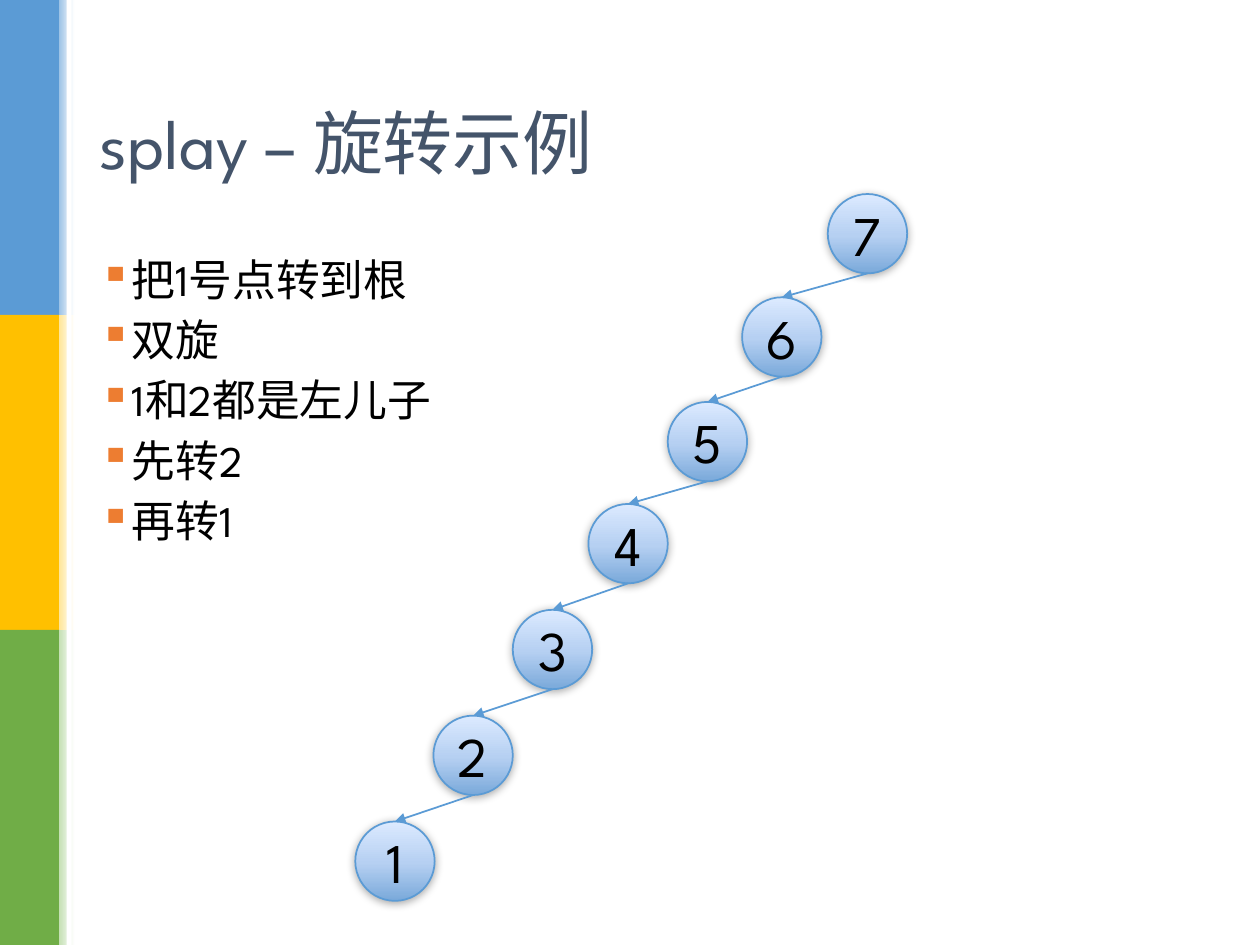
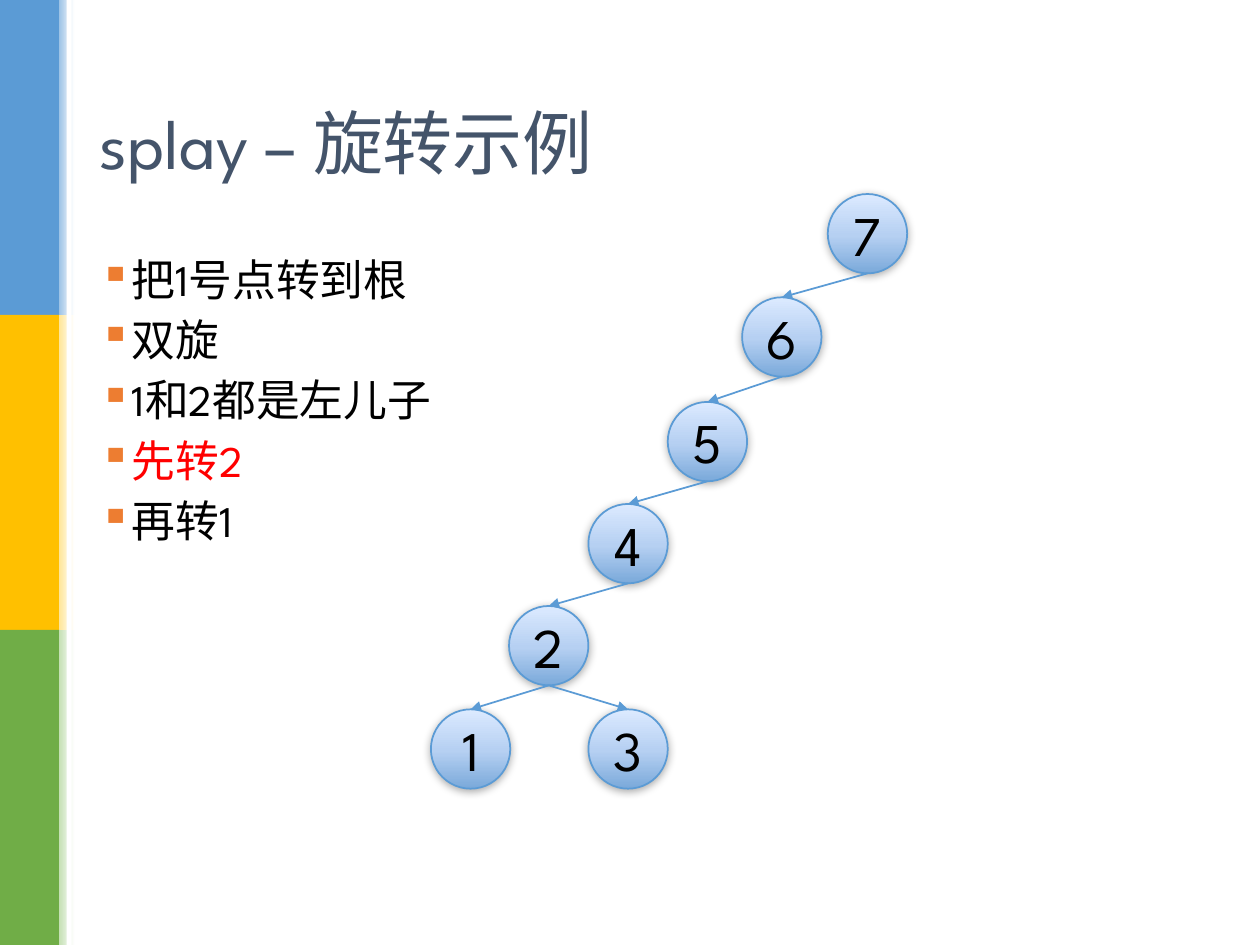
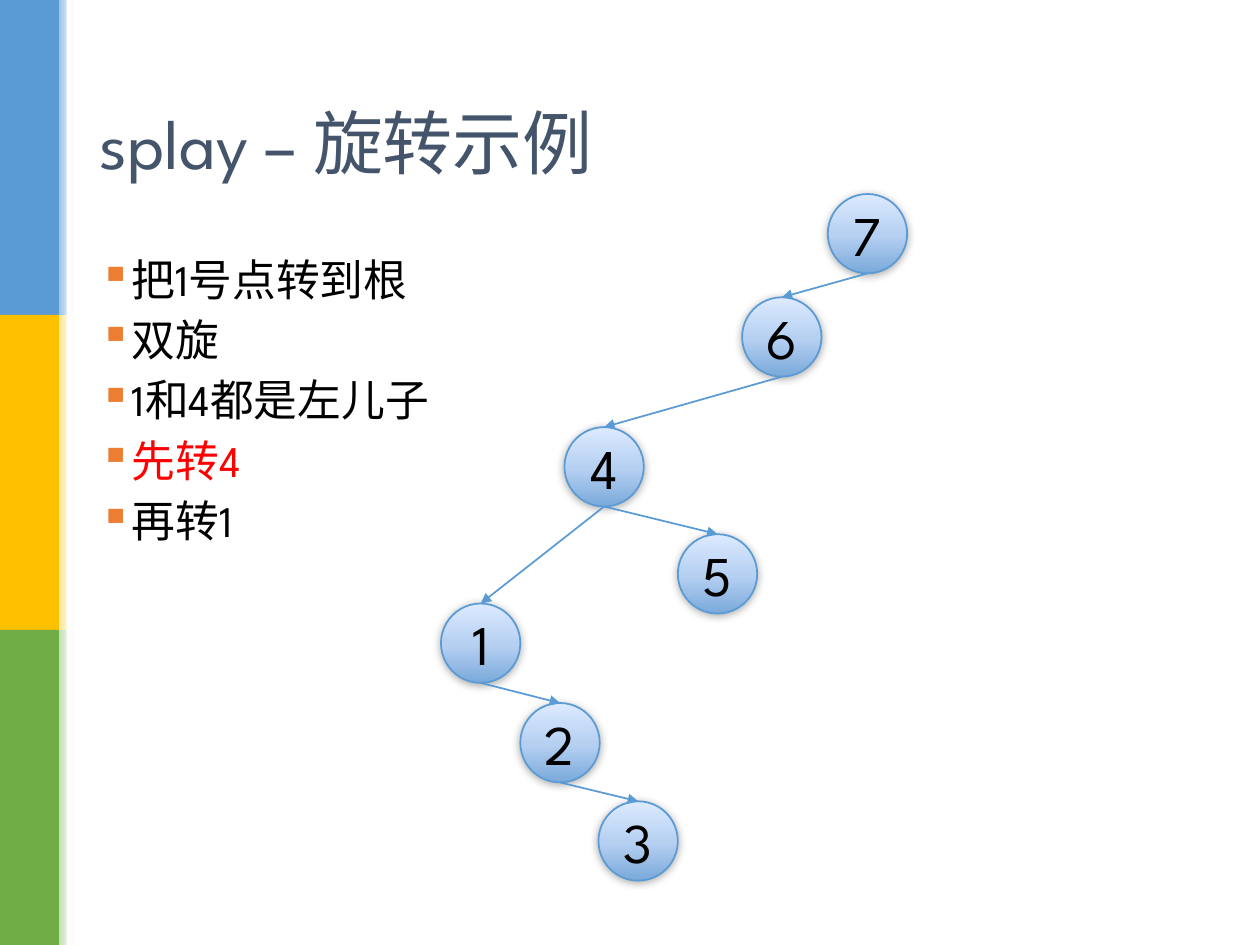
"""Build three slides that show splay tree rotations."""
from lxml.etree import SubElement
from pptx import Presentation
from pptx.dml.color import RGBColor
from pptx.enum.shapes import MSO_CONNECTOR, MSO_SHAPE
from pptx.enum.text import MSO_ANCHOR, PP_ALIGN
from pptx.oxml.ns import qn
from pptx.util import Inches, Pt

FONT = "League Spartan"
BLUE, BLACK, RED, WHITE = "5B9BD5", "000000", "FF0000", "FFFFFF"
SLATE, ORANGE = "44546A", "ED7D31"
BANDS = [(BLUE, "9DC3E6"), ("FFC000", "FFE699"), ("70AD47", "C5E0B4")]
BALL = [(0, "7AA9DA"), (48, "B6D0F2"), (100, "DCEAFF")]
SIZE = 0.63

CHAIN = {
    "1": (2.82, 6.52), "2": (3.44, 5.68), "3": (4.07, 4.84), "4": (4.67, 4),
    "5": (5.3, 3.19), "6": (5.89, 2.36), "7": (6.57, 1.54),
}
STEPS = [
    {"top": "2", "hue": BLACK, "spots": CHAIN,
     "edges": ["21", "32", "43", "54", "65", "76"]},
    {"top": "2", "hue": RED,
     "spots": CHAIN | {"1": (3.42, 5.63), "2": (4.04, 4.81), "3": (4.67, 5.63)},
     "edges": ["21", "23", "42", "54", "65", "76"]},
    {"top": "4", "hue": RED,
     "spots": CHAIN | {"1": (3.5, 4.79), "2": (4.13, 5.58), "3": (4.75, 6.36),
                       "4": (4.48, 3.39), "5": (5.38, 4.24)},
     "edges": ["12", "23", "41", "45", "64", "76"]},
]


def paint(item, fill, angle=0):
    """Fill a shape with one colour or with a list of gradient stops."""
    item.shadow.inherit = False
    item.line.fill.background()
    if isinstance(fill, str):
        item.fill.solid()
        item.fill.fore_color.rgb = RGBColor.from_string(fill)
        return
    item.fill.gradient()
    item.fill.gradient_angle = angle
    stops = item._element.spPr.find(".//" + qn("a:gsLst"))
    stops.clear()
    for pos, hue in fill:
        stop = SubElement(stops, qn("a:gs"), pos=str(pos * 1000))
        SubElement(stop, qn("a:srgbClr"), val=hue)


def write(para, text, size, hue):
    """Add one run of text to a paragraph."""
    run = para.add_run()
    run.text = text
    run.font.name = FONT
    run.font.size = Pt(size)
    run.font.color.rgb = RGBColor.from_string(hue)


deck = Presentation()
deck.slide_width, deck.slide_height = Inches(10), Inches(7.5)

for step in STEPS:
    slide = deck.slides.add_slide(deck.slide_layouts[6])
    shapes = slide.shapes

    for row, (dark, light) in enumerate(BANDS):
        top = Inches(2.5 * row)
        band = shapes.add_shape(MSO_SHAPE.RECTANGLE, 0, top, Inches(0.47), Inches(2.5))
        paint(band, dark)
        fade = shapes.add_shape(MSO_SHAPE.RECTANGLE, Inches(0.47), top, Inches(0.12), Inches(2.5))
        paint(fade, [(0, light), (100, WHITE)])
    strip = shapes.add_shape(MSO_SHAPE.RECTANGLE, Inches(0.53), 0, Inches(0.04), Inches(7.5))
    paint(strip, WHITE)

    title = shapes.add_textbox(Inches(0.69), Inches(0.4), Inches(8.62), Inches(1.45)).text_frame
    title.word_wrap = True
    title.vertical_anchor = MSO_ANCHOR.MIDDLE
    write(title.paragraphs[0], "splay – 旋转示例", 40, SLATE)

    nodes = {}
    for key, (left, top) in step["spots"].items():
        node = shapes.add_shape(MSO_SHAPE.OVAL, Inches(left), Inches(top), Inches(SIZE), Inches(SIZE))
        paint(node, BALL, 90)
        node.line.color.rgb = RGBColor.from_string(BLUE)
        node.line.width = Pt(1)
        glow = SubElement(node._element.spPr.find(qn("a:effectLst")), qn("a:outerShdw"),
                          blurRad=str(Pt(5)), dist=str(Pt(1)), dir="5400000", rotWithShape="0")
        tint = SubElement(glow, qn("a:srgbClr"), val=BLACK)
        SubElement(tint, qn("a:alpha"), val="32000")
        node.text_frame.vertical_anchor = MSO_ANCHOR.MIDDLE
        label = node.text_frame.paragraphs[0]
        label.alignment = PP_ALIGN.CENTER
        write(label, key, 32, BLACK)
        nodes[key] = node

    for start, end in step["edges"]:
        node, child = nodes[start], nodes[end]
        edge = shapes.add_connector(MSO_CONNECTOR.STRAIGHT, node.left + node.width // 2,
                                    node.top + node.height, child.left, child.top)
        edge.end_connect(child, 0)
        edge.line.color.rgb = RGBColor.from_string(BLUE)
        edge.line.width = Pt(1)
        SubElement(edge.line._get_or_add_ln(), qn("a:tailEnd"), type="triangle")
        SubElement(edge._element.spPr, qn("a:effectLst"))

    body = shapes.add_textbox(Inches(0.69), Inches(2), Inches(8.62), Inches(5.15)).text_frame
    body.word_wrap = True
    lines = [
        ("把1号点转到根", BLACK),
        ("双旋", BLACK),
        (f"1和{step['top']}都是左儿子", BLACK),
        (f"先转{step['top']}", step["hue"]),
        ("再转1", BLACK),
    ]
    for row, (text, hue) in enumerate(lines):
        para = body.add_paragraph() if row else body.paragraphs[0]
        para.line_spacing = 0.9
        props = para._p.get_or_add_pPr()
        props.set("marL", str(Inches(0.19)))
        props.set("indent", str(Inches(-0.19)))
        SubElement(SubElement(props, qn("a:spcBef")), qn("a:spcPct"), val="30000")
        SubElement(SubElement(props, qn("a:buClr")), qn("a:srgbClr"), val=ORANGE)
        SubElement(props, qn("a:buChar"), char="▪")
        write(para, text, 25, hue)

deck.save("out.pptx")
